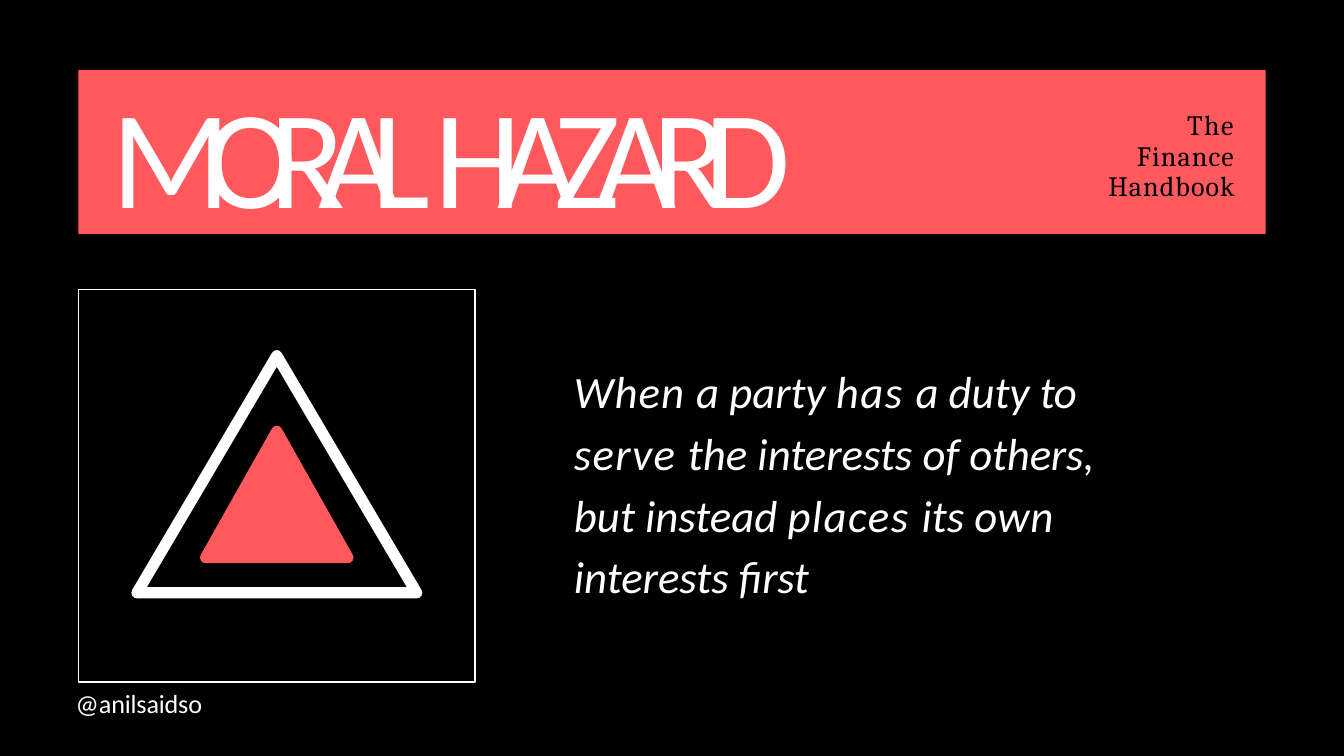
import pptx
import pptx.dml.color
import pptx.enum.shapes
import pptx.enum.text
import pptx.oxml.ns
import pptx.util
import lxml.etree

Pt = pptx.util.Pt
SHAPES = pptx.enum.shapes.MSO_SHAPE
ALIGN = pptx.enum.text.PP_ALIGN
BLACK, WHITE, CORAL = "000000", "FFFFFF", "FF595E"

# Each phrase is followed by its letter spacing in points.
TITLE = [("MORAL ", -14.7), ("HAZARD", -12.9)]
DEFINITION = [
    ("When ", 0.5), ("a party ", 0), ("has ", 0.8), ("a duty ", 0),
    ("to ", -0.2), ("serve ", 0.7), ("the interests of ", 0),
    ("others, ", -0.1), ("but instead ", 0), ("places ", 0.8), ("its ", 0),
    ("own ", 0.3), ("interests ", 0), ("ﬁrst", -0.2),
]
HANDLE = [("@anilsaidso", -0.1)]
SERIES = [("The ", 0.8), ("Finance Handbook", 0.6)]


def colour(hex_value):
    return pptx.dml.color.RGBColor.from_string(hex_value)


def place(item, left, top, width, height):
    item.left, item.top = Pt(left), Pt(top)
    item.width, item.height = Pt(width), Pt(height)


def add_figure(slide, preset, box, fill=None, line=None, line_width=0.75):
    figure = slide.shapes.add_shape(preset, *map(Pt, box))
    figure.shadow.inherit = False
    if fill:
        figure.fill.solid()
        figure.fill.fore_color.rgb = colour(fill)
    else:
        figure.fill.background()
    if line:
        figure.line.color.rgb = colour(line)
        figure.line.width = Pt(line_width)
    else:
        figure.line.fill.background()
    return figure


def add_triangle(slide, box, line, fill=None):
    """Draw a triangle with a heavy outline and rounded corners."""
    triangle = add_figure(slide, SHAPES.ISOSCELES_TRIANGLE, box, fill, line, 6)
    outline = triangle.line._get_or_add_ln()
    lxml.etree.SubElement(outline, pptx.oxml.ns.qn("a:round"))


def write(holder, phrases, size, text_colour, font="Calibri", italic=False,
          align=ALIGN.LEFT, line_spacing=1.0, inset_top=2, first_indent=0):
    """Fill a text holder with one paragraph of individually spaced phrases."""
    frame = holder.text_frame
    frame.word_wrap = True
    frame.auto_size = pptx.enum.text.MSO_AUTO_SIZE.NONE
    frame.vertical_anchor = pptx.enum.text.MSO_ANCHOR.TOP
    frame.margin_left = Pt(1)
    frame.margin_right = frame.margin_bottom = Pt(0)
    frame.margin_top = Pt(inset_top)

    paragraph = frame.paragraphs[0]
    paragraph.alignment = align
    paragraph.line_spacing = line_spacing
    if first_indent:
        paragraph._p.get_or_add_pPr().set("indent", str(Pt(first_indent)))
    for phrase, spacing in phrases:
        run = paragraph.add_run()
        run.text = phrase
        run.font.name = font
        run.font.size = Pt(size)
        run.font.italic = italic
        run.font.color.rgb = colour(text_colour)
        run._r.get_or_add_rPr().set("spc", str(round(spacing * 100)))


def add_text(slide, box, phrases, size, text_colour, **style):
    write(slide.shapes.add_textbox(*map(Pt, box)), phrases, size, text_colour,
          **style)


def add_banner(slide):
    banner = add_figure(slide, SHAPES.RECTANGLE, (42, 37.5, 636, 88), CORAL)
    title = slide.shapes.title
    title._element.addprevious(banner._element)
    place(title, 59, 34.6, 509, 88.6)
    write(title, TITLE, 75, WHITE)
    # The first-line indent leaves room for one word only on the first line.
    add_text(slide, (582.5, 53.3, 79.2, 53.3), SERIES, 15, BLACK,
             font="Cambria", align=ALIGN.RIGHT, line_spacing=Pt(16.5),
             inset_top=5.7, first_indent=48)


def add_emblem(slide):
    add_figure(slide, SHAPES.RECTANGLE, (42, 155, 212.5, 210.5), line=WHITE)
    add_triangle(slide, (73.4, 190.6, 149.8, 127), WHITE)
    add_triangle(slide, (110.2, 231.1, 76.2, 67.6), CORAL, fill=CORAL)
    add_text(slide, (39.6, 366.5, 72, 18.7), HANDLE, 14, WHITE)


def main():
    deck = pptx.Presentation()
    deck.slide_width, deck.slide_height = Pt(720), Pt(405)
    slide = deck.slides.add_slide(deck.slide_layouts.get_by_name("Title Only"))
    slide.background.fill.solid()
    slide.background.fill.fore_color.rgb = colour(BLACK)

    add_banner(slide)
    add_emblem(slide)
    add_text(slide, (306.5, 188.6, 294, 134.6), DEFINITION, 24, WHITE,
             italic=True, line_spacing=1.15)
    deck.save("out.pptx")


if __name__ == "__main__":
    main()
